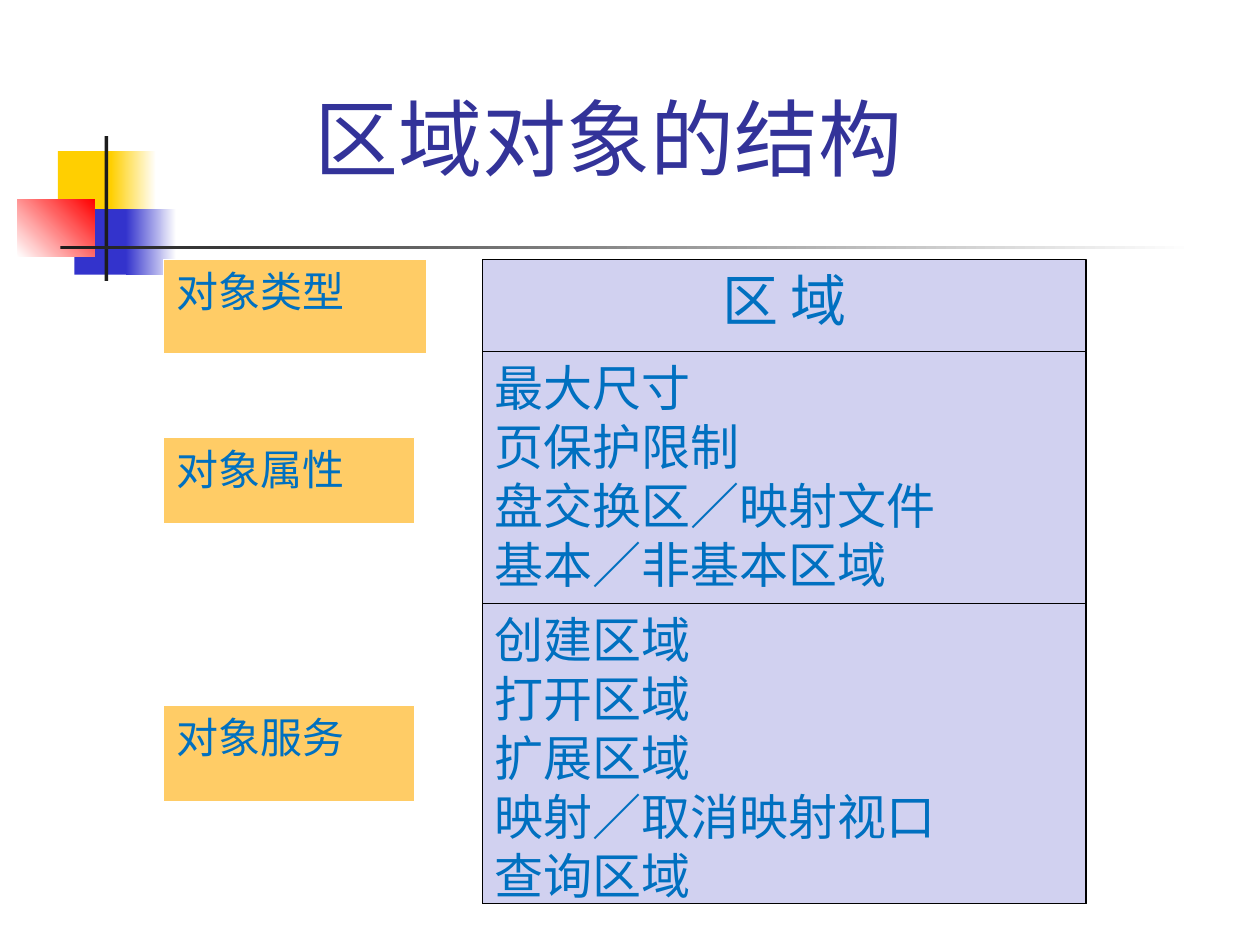
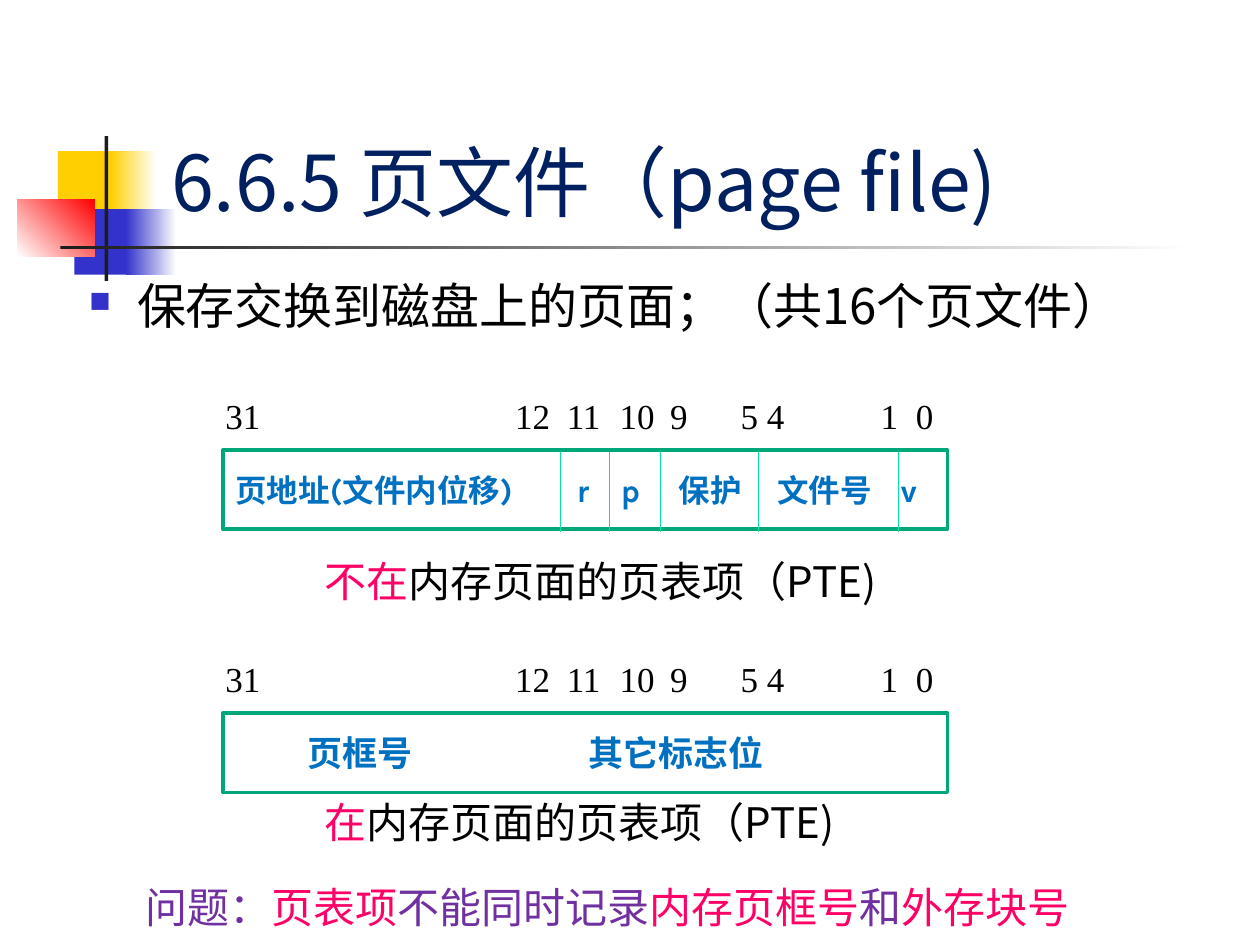
from pptx import Presentation
from pptx.dml.color import RGBColor
from pptx.enum.shapes import MSO_CONNECTOR as CONNECTOR, MSO_SHAPE as SHAPE
from pptx.enum.text import MSO_ANCHOR as ANCHOR, PP_ALIGN as ALIGN
from pptx.oxml.ns import qn
from pptx.util import Inches, Pt
from lxml.etree import SubElement

CJK, LABEL, DIGITS = "Noto Sans CJK JP", "Karla", "Times New Roman"
BLUE, INDIGO, NAVY, PURPLE, PINK = "0070C0", "3333CC", "002060", "7030A0", "FF0066"
BLACK, WHITE, CHARCOAL, YELLOW = "000000", "FFFFFF", "1C1C1C", "FFCF01"
LILAC, ORANGE, GREEN, MINT = "D1D1F0", "FFCC66", "00A77A", "00E4A7"


def rgb(value):
    return RGBColor.from_string(value)


def put(slide, at, paragraphs=(), size=24, font=CJK, color=BLACK, bold=False,
        align=ALIGN.LEFT, anchor=ANCHOR.TOP, fill=None, fade=None, angle=0,
        line=None, weight=0.75, tabs=(), bullet=None):
    """Place text, in a rectangle if it has a fill or line.

    Each paragraph is a string or a list of (text, color) runs.
    """
    place = [Inches(n) for n in at]
    if fill or line:
        box = slide.shapes.add_shape(SHAPE.RECTANGLE, *place)
        box.shadow.inherit = False
    else:
        box = slide.shapes.add_textbox(*place)
    if fade:
        box.fill.gradient()
        box.fill.gradient_angle = angle
        for stop, shade in zip(box.fill.gradient_stops, (fill, fade)):
            stop.color.rgb = rgb(shade)
    elif fill:
        box.fill.solid()
        box.fill.fore_color.rgb = rgb(fill)
    else:
        box.fill.background()
    if line:
        box.line.color.rgb = rgb(line)
        box.line.width = Pt(weight)
    else:
        box.line.fill.background()

    frame = box.text_frame
    frame.word_wrap = True
    frame.vertical_anchor = anchor
    for i, runs in enumerate(paragraphs):
        para = frame.add_paragraph() if i else frame.paragraphs[0]
        para.alignment = align
        props = para._p.get_or_add_pPr()
        if bullet:
            indent = Inches(0.38)
            props.set("marL", str(indent))
            props.set("indent", str(-indent))
            tint = SubElement(props, qn("a:buClr"))
            SubElement(tint, qn("a:srgbClr"), val=bullet)
            SubElement(props, qn("a:buSzPct"), val="60000")
            SubElement(props, qn("a:buChar"), char="■")
        if tabs:
            stops = SubElement(props, qn("a:tabLst"))
            for tab in tabs:
                SubElement(stops, qn("a:tab"), pos=str(Inches(tab)), algn="l")
        for text, shade in [(runs, color)] if isinstance(runs, str) else runs:
            run = para.add_run()
            run.text = text
            run.font.size, run.font.name, run.font.bold = Pt(size), font, bold
            run.font.color.rgb = rgb(shade)
            SubElement(run._r.get_or_add_rPr(), qn("a:ea"), typeface=CJK)


deck = Presentation()
deck.slide_width, deck.slide_height = Inches(10), Inches(7.5)
blank = deck.slide_layouts[6]
region, page_file = (deck.slides.add_slide(blank) for _ in range(2))

# Shared corner squares and title rule
ornament = [
    ((0.46, 1.2, 0.48, 0.52), YELLOW, None, 0),
    ((0.88, 1.2, 0.36, 0.52), YELLOW, WHITE, 0),
    ((0.59, 1.66, 0.46, 0.52), INDIGO, None, 0),
    ((1, 1.66, 0.4, 0.52), INDIGO, WHITE, 0),
    ((0.14, 1.58, 0.61, 0.46), WHITE, "FF0000", 45),
    ((0.83, 1.08, 0.03, 1.15), CHARCOAL, None, 0),
    ((0.48, 1.95, 9, 0.03), CHARCOAL, WHITE, 0),
]
for slide in deck.slides:
    for at, fill, fade, angle in ornament:
        put(slide, at, fill=fill, fade=fade, angle=angle)

# Slide 1: structure of the region object
put(region, (2.4, 0.64, 5.7, 0.9), ["区域对象的结构"], size=48, color="333399")

attributes = ["最大尺寸", "页保护限制", "盘交换区／映射文件", "基本／非基本区域"]
services = ["创建区域", "打开区域", "扩展区域", "映射／取消映射视口", "查询区域"]
put(region, (3.83, 2.06, 4.79, 0.73), ["区 域"], size=32, color=BLUE,
    align=ALIGN.CENTER, fill=LILAC, line=BLACK)
members_bottom = 7.17
for top, members in [(2.79, attributes), (4.79, services)]:
    put(region, (3.83, top, 4.79, members_bottom - top), members, size=28,
        color=BLUE, fill=LILAC, line=BLACK)

for caption, top, width, height in [("对象类型", 2.06, 2.09, 0.75),
                                    ("对象属性", 3.47, 1.99, 0.69),
                                    ("对象服务", 5.6, 1.99, 0.76)]:
    put(region, (1.3, top, width, height), [caption], color=BLUE,
        fill=ORANGE, line=WHITE)

# Slide 2: page file heading
put(page_file, (1.26, 0.25, 8.52, 1.6), ["6.6.5 页文件（page file)"], size=44,
    color=NAVY, anchor=ANCHOR.BOTTOM)
put(page_file, (0.61, 2.14, 9, 0.79), ["保存交换到磁盘上的页面；（共16个页文件）"],
    size=28, bullet=INDIGO)

# Page table entries: fields, bit numbers and caption
entries = [
    (3.57, "页地址(文件内位移)\tr\tp\t保护\t文件号\tv", 18,
     (2.71, 3.06, 3.52, 4.3, 5.28), 3.08, "不在", 4.36),
    (5.66, "\t页框号\t其它标志位", 20, (0.57, 2.8), 5.17, "在", 6.27),
]
for top, fields, size, tabs, bits_top, state, caption_top in entries:
    put(page_file, (1.77, top, 5.75, 0.63), [fields], size=size, font=LABEL,
        color=BLUE, bold=True, anchor=ANCHOR.MIDDLE, line=GREEN, weight=2,
        tabs=tabs)
    put(page_file, (1.69, bits_top, 5.83, 0.77),
        ["31\t12\t11\t10\t9\t5 4\t1\t0"], size=20, font=DIGITS,
        tabs=(2.3, 2.71, 3.13, 3.53, 4.09, 5.2, 5.48))
    put(page_file, (2.48, caption_top, 4.64, 0.5),
        [[(state, PINK), ("内存页面的页表项（PTE)", BLACK)]])

# Field dividers of the first entry
for x in (4.45, 4.84, 5.24, 6.02, 7.13):
    divider = page_file.shapes.add_connector(
        CONNECTOR.STRAIGHT, Inches(x), Inches(3.59), Inches(x), Inches(4.22))
    divider.line.color.rgb = rgb(MINT)
    divider.line.width = Pt(0.75)
    SubElement(divider._element.spPr, qn("a:effectLst"))

# Closing question
put(page_file, (1.06, 6.95, 7.72, 0.5), [[
    ("问题：", PURPLE), ("页表项", PINK), ("不能同时记录", PURPLE),
    ("内存页框号", PINK), ("和", PURPLE), ("外存块号", PINK)]])

deck.save("out.pptx")
